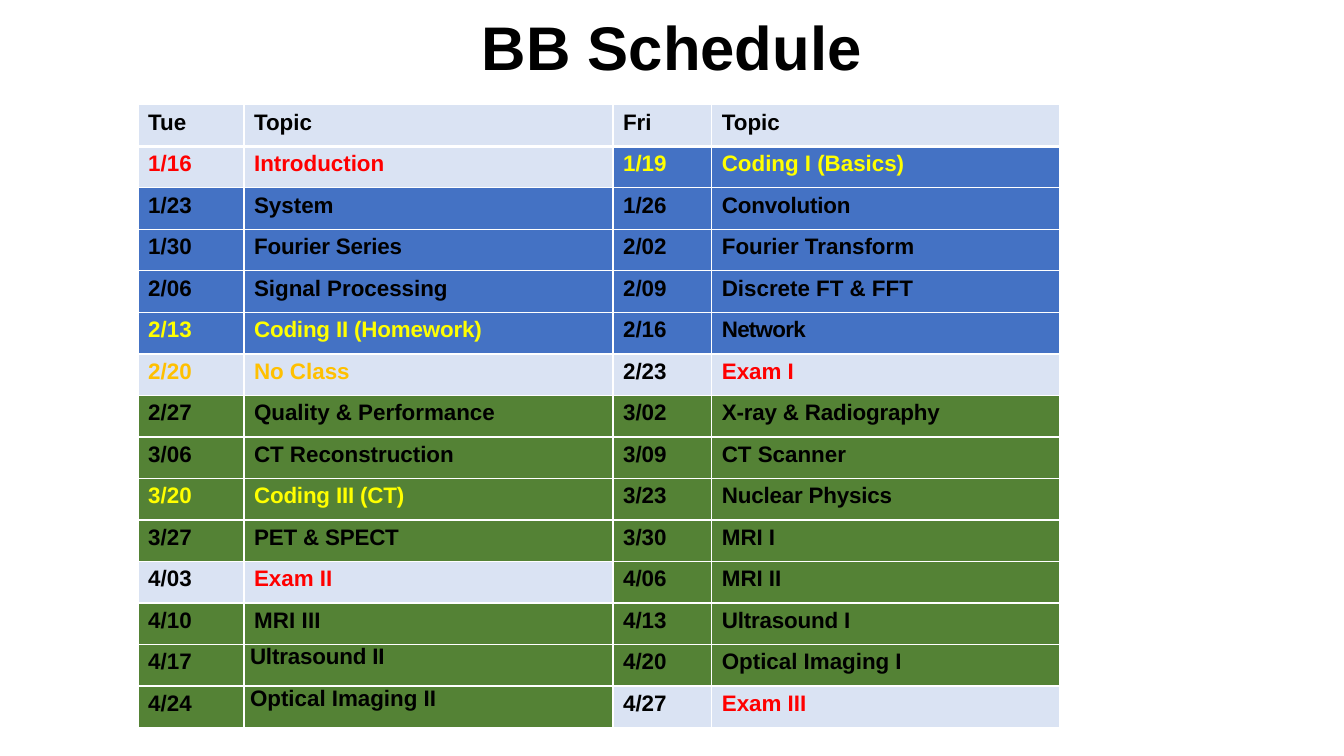
from typing import NamedTuple

from lxml import etree
from pptx import Presentation
from pptx import util as u
from pptx.dml.color import RGBColor
from pptx.enum import text
from pptx.oxml.ns import qn

PX = 9144
COLORS = {
    "black": "000000", "white": "FFFFFF", "red": "FF0000", "yellow": "FFFF00",
    "amber": "FFC000", "pale": "DAE3F3", "blue": "4472C4", "green": "548235",
}
FONT = "Arial"
COLUMN_WIDTHS = (105, 366, 98, 345)


class Kind(NamedTuple):
    fill: str
    date_color: str
    topic_color: str


class Session(NamedTuple):
    date: str
    topic: str
    kind: Kind
    spacing: float = 0
    inset: tuple[int, int] = (10, 5)


HEADING = Kind("pale", "black", "black")
INTRO = Kind("pale", "red", "red")
EXAM = Kind("pale", "black", "red")
BREAK = Kind("pale", "amber", "amber")
SIGNALS = Kind("blue", "black", "black")
SIGNALS_LAB = Kind("blue", "yellow", "yellow")
IMAGING = Kind("green", "black", "black")
IMAGING_LAB = Kind("green", "yellow", "yellow")

TUESDAYS = [
    Session("Tue", "Topic", HEADING),
    Session("1/16", "Introduction", INTRO),
    Session("1/23", "System", SIGNALS),
    Session("1/30", "Fourier Series", SIGNALS, -0.1),
    Session("2/06", "Signal Processing", SIGNALS),
    Session("2/13", "Coding II (Homework)", SIGNALS_LAB, -0.1),
    Session("2/20", "No Class", BREAK),
    Session("2/27", "Quality & Performance", IMAGING),
    Session("3/06", "CT Reconstruction", IMAGING),
    Session("3/20", "Coding III (CT)", IMAGING_LAB, -0.1),
    Session("3/27", "PET & SPECT", IMAGING, -0.1),
    Session("4/03", "Exam II", EXAM),
    Session("4/10", "MRI III", IMAGING, 0.1),
    Session("4/17", "Ultrasound II", IMAGING, -0.1, (6, 0)),
    Session("4/24", "Optical Imaging II", IMAGING, 0, (6, 0)),
]
FRIDAYS = [
    Session("Fri", "Topic", HEADING),
    Session("1/19", "Coding I (Basics)", SIGNALS_LAB),
    Session("1/26", "Convolution", SIGNALS, -0.1),
    Session("2/02", "Fourier Transform", SIGNALS),
    Session("2/09", "Discrete FT & FFT", SIGNALS),
    Session("2/16", "Network", SIGNALS, -0.5),
    Session("2/23", "Exam I", EXAM),
    Session("3/02", "X-ray & Radiography", IMAGING, -0.1),
    Session("3/09", "CT Scanner", IMAGING),
    Session("3/23", "Nuclear Physics", IMAGING, -0.1),
    Session("3/30", "MRI I", IMAGING),
    Session("4/06", "MRI II", IMAGING),
    Session("4/13", "Ultrasound I", IMAGING, -0.1),
    Session("4/20", "Optical Imaging I", IMAGING),
    Session("4/27", "Exam III", EXAM),
]


def px(length: int) -> u.Emu:
    return u.Emu(length * PX)


def format_run(run, size: int, color: str, spacing: float = 0) -> None:
    run.font.name = FONT
    run.font.size = u.Pt(size)
    run.font.bold = True
    run.font.color.rgb = RGBColor.from_string(COLORS[color])
    if spacing:
        run.font._element.set("spc", str(round(spacing * 100)))


def add_borders(cell, bottom_width: int) -> None:
    properties = cell._tc.get_or_add_tcPr()
    widths = {"lnL": 1, "lnR": 1, "lnT": 1, "lnB": bottom_width}
    for position, (side, width) in enumerate(widths.items()):
        border = etree.Element(qn(f"a:{side}"), w=str(u.Pt(width)))
        paint = etree.SubElement(border, qn("a:solidFill"))
        etree.SubElement(paint, qn("a:srgbClr"), val=COLORS["white"])
        properties.insert(position, border)


def fill_cell(cell, wording: str, fill: str, color: str,
              spacing: float = 0, inset: tuple[int, int] = (10, 5)) -> None:
    cell.text_frame.text = wording
    format_run(cell.text_frame.paragraphs[0].runs[0], 16, color, spacing)
    cell.margin_left, cell.margin_top = map(px, inset)
    cell.fill.solid()
    cell.fill.fore_color.rgb = RGBColor.from_string(COLORS[fill])


def add_title(slide) -> None:
    title = slide.shapes.title
    title.left, title.top, title.width, title.height = map(px, (183, 4, 967, 92))
    title.text_frame.text = "BB Schedule"
    title.text_frame.vertical_anchor = text.MSO_ANCHOR.MIDDLE
    heading = title.text_frame.paragraphs[0]
    heading.alignment = text.PP_ALIGN.CENTER
    heading.line_spacing = 0.9
    format_run(heading.runs[0], 44, "black")


def add_schedule(slide) -> None:
    schedule = slide.shapes.add_table(
        len(TUESDAYS), len(COLUMN_WIDTHS),
        px(137), px(104), px(sum(COLUMN_WIDTHS)), px(618)).table
    schedule.first_row = False
    schedule.horz_banding = False
    for column, width in zip(schedule.columns, COLUMN_WIDTHS):
        column.width = px(width)
    for row, week in enumerate(zip(TUESDAYS, FRIDAYS)):
        for day, session in enumerate(week):
            kind = session.kind
            date_cell = schedule.cell(row, 2 * day)
            topic_cell = schedule.cell(row, 2 * day + 1)
            fill_cell(date_cell, session.date, kind.fill, kind.date_color)
            fill_cell(topic_cell, session.topic, kind.fill, kind.topic_color,
                      session.spacing, session.inset)
            for cell in (date_cell, topic_cell):
                add_borders(cell, 3 if row == 0 else 1)


def main() -> None:
    deck = Presentation()
    deck.slide_width, deck.slide_height = px(1333), px(750)
    slide = deck.slides.add_slide(deck.slide_layouts[5])
    add_schedule(slide)
    add_title(slide)
    deck.save("out.pptx")


if __name__ == "__main__":
    main()
